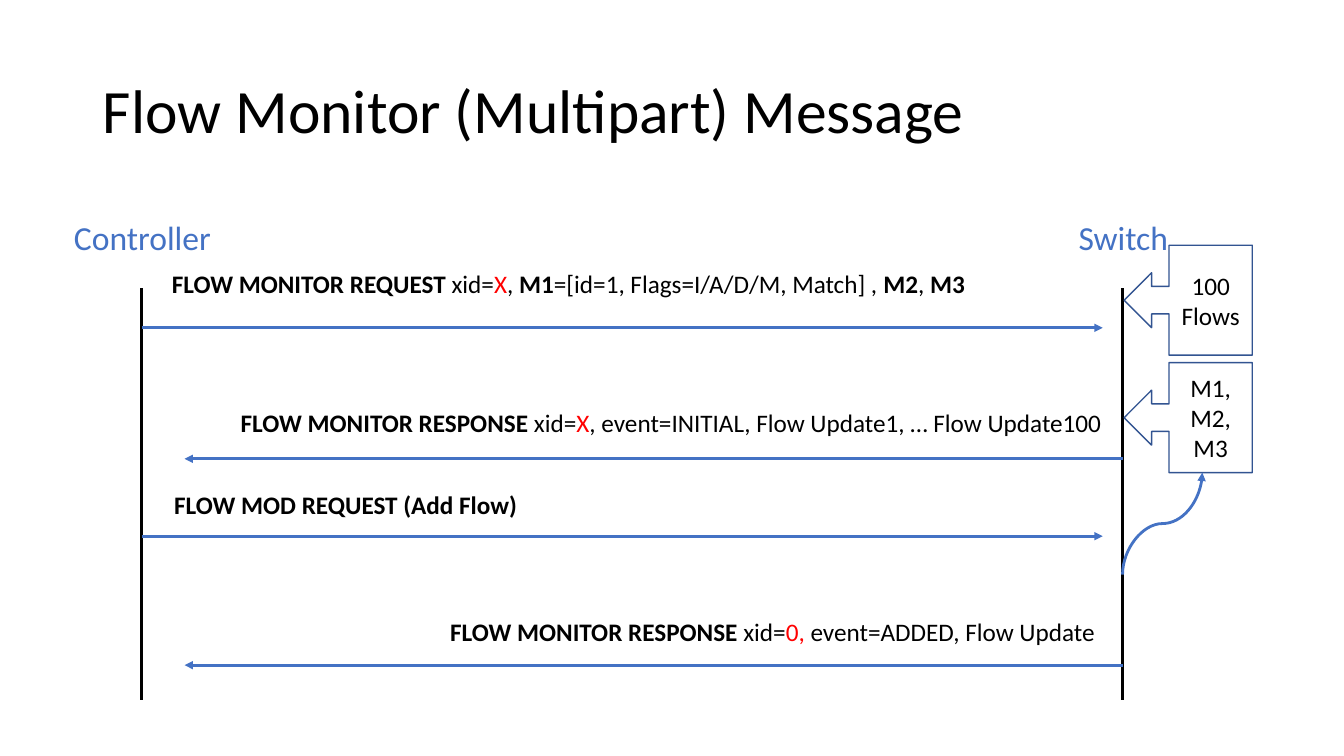
from lxml import etree
from pptx import Presentation
from pptx.dml import color
from pptx.enum import shapes, text
from pptx.oxml import ns
from pptx.util import Cm, Pt

BLUE, BLACK, RED, WHITE, NAVY = "4472C4", "000000", "FF0000", "FFFFFF", "325491"
FONT = "Calibri"
MESSAGES = [
    (8.26, 4.08, 6.63, True, [
        ("FLOW MONITOR REQUEST ", True, BLACK), ("xid=", False, BLACK),
        ("X", False, RED), (", ", False, BLACK), ("M1", True, BLACK),
        ("=[id=1, Flags=I/A/D/M, Match] , ", False, BLACK),
        ("M2", True, BLACK), (", ", False, BLACK), ("M3", True, BLACK)]),
    (11.56, 4.31, 10.13, False, [
        ("FLOW MONITOR RESPONSE ", True, BLACK), ("xid=", False, BLACK),
        ("X", False, RED),
        (", event=INITIAL, Flow Update1, … Flow Update100", False, BLACK)]),
    (13.51, 4.14, 12.2, True, [("FLOW MOD REQUEST (Add Flow)", True, BLACK)]),
    (16.76, 4.14, 15.4, False, [
        ("FLOW MONITOR RESPONSE ", True, BLACK), ("xid=", False, BLACK),
        ("0, ", False, RED), ("event=ADDED, Flow Update", False, BLACK)]),
]


def rgb(code):
    return color.RGBColor.from_string(code)


def style(run, size, hue, bold=False):
    font = run.font
    font.name, font.size, font.bold = FONT, Pt(size), bold
    font.color.rgb = rgb(hue)


def link(slide, start, end, hue, arrow=True, kind=shapes.MSO_CONNECTOR.STRAIGHT):
    line = slide.shapes.add_connector(kind, *map(Cm, start + end))
    line.line.color.rgb = rgb(hue)
    line.line.width = Pt(2)
    if arrow:
        etree.SubElement(line.line._get_or_add_ln(), ns.qn("a:tailEnd"), type="triangle")
    etree.SubElement(line._element.spPr, ns.qn("a:effectLst"))
    return line


def label(slide, box, parts, size, align):
    frame = slide.shapes.add_textbox(*map(Cm, box)).text_frame
    frame.word_wrap = True
    para = frame.paragraphs[0]
    para.alignment = align
    for words, bold, hue in parts:
        run = para.add_run()
        run.text = words
        style(run, size, hue, bold)


def title(slide, box, words):
    head = slide.shapes.title
    head.left, head.top, head.width, head.height = map(Cm, box)
    head.text_frame.text = words
    head.text_frame.vertical_anchor = text.MSO_ANCHOR.MIDDLE
    para = head.text_frame.paragraphs[0]
    para.alignment = text.PP_ALIGN.LEFT
    para.line_spacing = 0.9
    style(para.runs[0], 44, BLACK)


def actor(slide, x, top, bottom, name):
    link(slide, (x, top), (x, bottom), BLACK, False)
    label(slide, (x - 3.48, top - 1.93, 7, 1.27), [(name, False, BLUE)],
          24, text.PP_ALIGN.CENTER)


def message(slide, left, right, y, x, top, ask, parts):
    if ask:
        link(slide, (left, y), (right - 0.5, y), BLUE)
    else:
        link(slide, (right, y), (left + 1.08, y), BLUE)
    align = text.PP_ALIGN.LEFT if ask else text.PP_ALIGN.RIGHT
    label(slide, (x, top, 23.7, 1.02), parts, 18, align)


def callout(slide, box, words):
    shape = slide.shapes.add_shape(
        shapes.MSO_SHAPE.LEFT_ARROW_CALLOUT, *map(Cm, box))
    shape.shadow.inherit = False
    shape.fill.solid()
    shape.fill.fore_color.rgb = rgb(WHITE)
    shape.line.color.rgb = rgb(NAVY)
    shape.line.width = Pt(1)
    frame = shape.text_frame
    frame.text = words
    frame.word_wrap = True
    frame.vertical_anchor = text.MSO_ANCHOR.MIDDLE
    para = frame.paragraphs[0]
    para.alignment = text.PP_ALIGN.CENTER
    style(para.runs[0], 18, BLACK)


def bend(slide, start, end):
    mid_x, mid_y = (start[0] + end[0]) / 2, (start[1] + end[1]) / 2
    wide, high = (start[1] - end[1]) / 2, (end[0] - start[0]) / 2
    curve = link(slide, (mid_x + wide, mid_y + high), (mid_x - wide, mid_y - high),
                 BLUE, kind=shapes.MSO_CONNECTOR.CURVE)
    curve._element.spPr.xfrm.set("rot", "5400000")


def main():
    deck = Presentation()
    deck.slide_width, deck.slide_height = Cm(33.87), Cm(19.05)
    slide = deck.slides.add_slide(deck.slide_layouts[5])
    title(slide, (2.34, 1.02, 29.21, 3.68), "Flow Monitor (Multipart) Message")
    left, right = 3.57, 28.29
    for x, name in ((left, "Controller"), (right, "Switch")):
        actor(slide, x, 7.26, 17.65, name)
    for item in MESSAGES:
        message(slide, left, right, *item)
    for top, words in ((6.18, "100 Flows"), (9.14, "M1, M2, M3")):
        callout(slide, (right + 0.04, top, 3.23, 2.77), words)
    bend(slide, (right, 14.48), (30.3, 11.91))
    deck.save("out.pptx")


if __name__ == "__main__":
    main()
